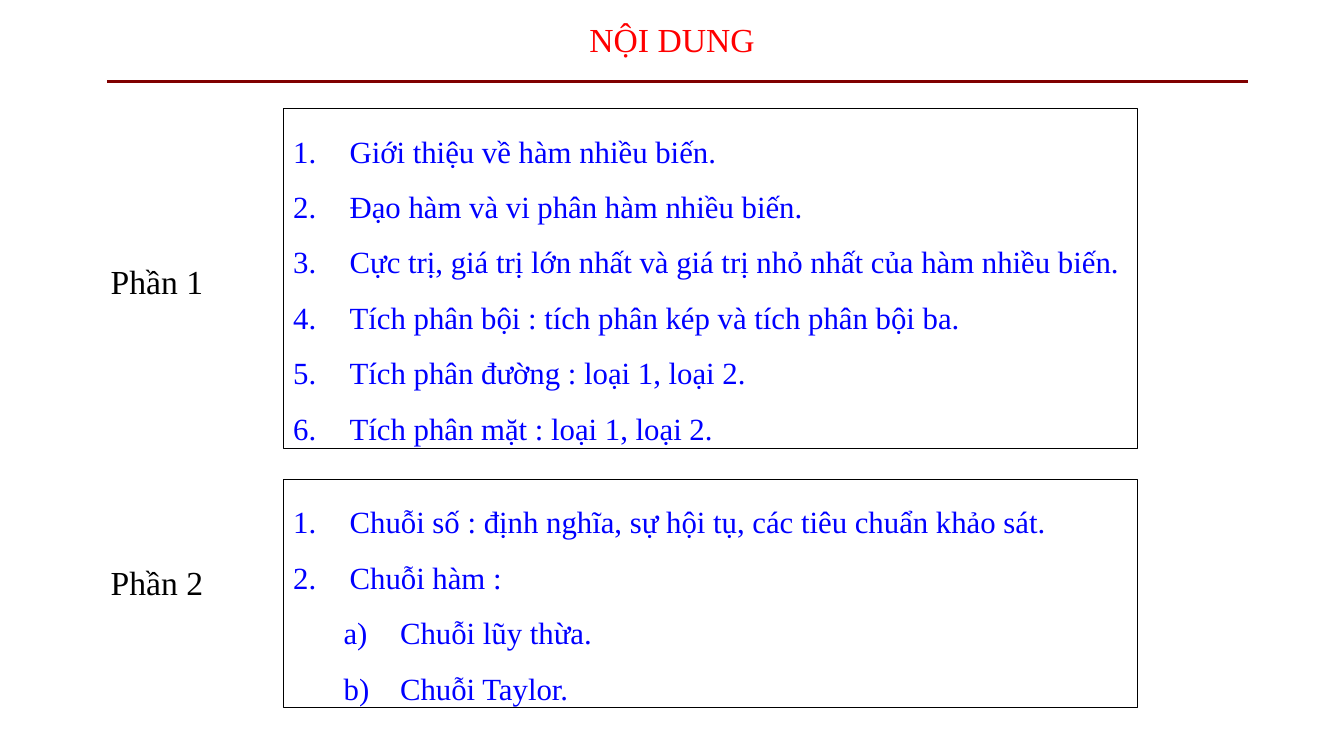
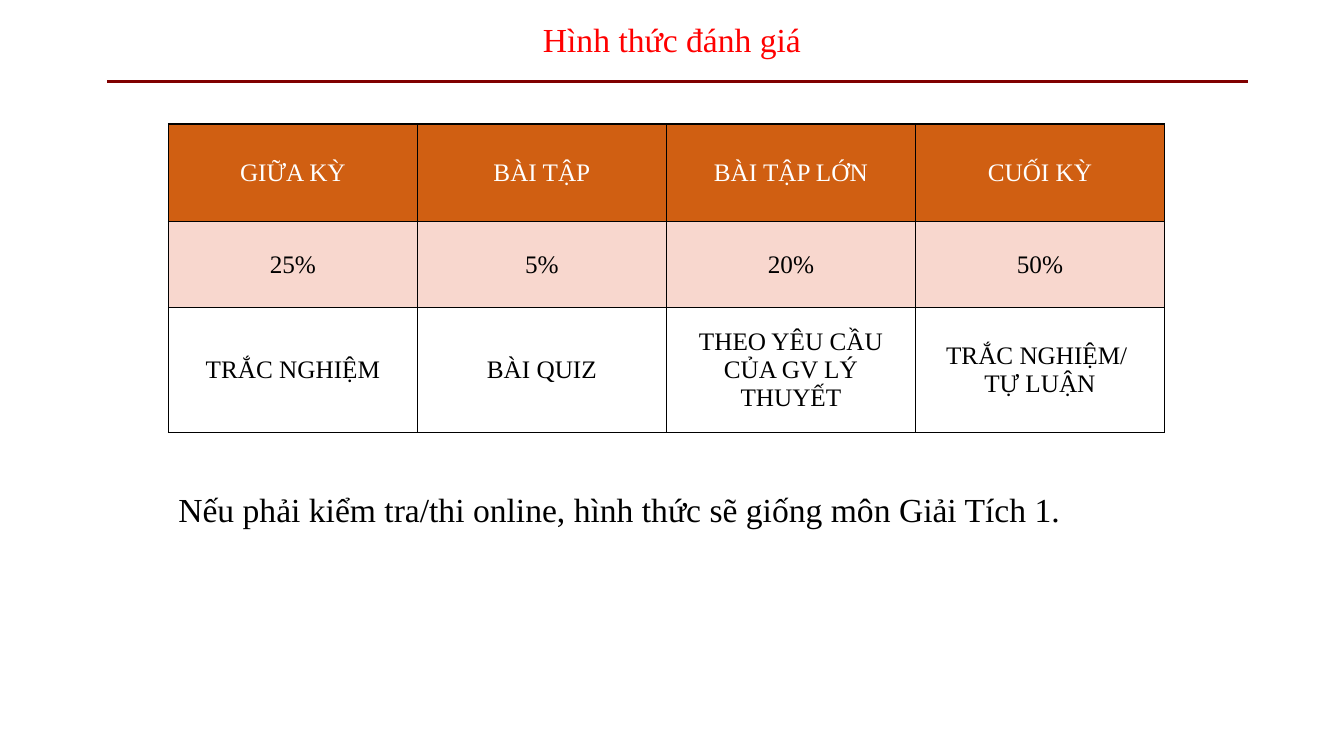
import dataclasses

import lxml.etree
import pptx
import pptx.dml.color
import pptx.enum.shapes
import pptx.enum.text
import pptx.oxml
import pptx.oxml.ns
import pptx.util

PX = 9144  # 100 px to the inch
FONT = "Times New Roman"
COLORS = {
    "title": "FF0000",
    "rule": "800000",
    "topic": "0000FF",
    "text": "000000",
    "header_text": "FFFFFF",
    "header": "D05F12",
    "weight": "F8D7CE",
}
ALIGN = pptx.enum.text.PP_ALIGN
ANCHOR = pptx.enum.text.MSO_ANCHOR
AUTO_SIZE = pptx.enum.text.MSO_AUTO_SIZE
qn = pptx.oxml.ns.qn


@dataclasses.dataclass(frozen=True)
class Topic:
    text: str
    level: int = 0


@dataclasses.dataclass(frozen=True)
class Part:
    label: str
    label_top: int
    top: int
    height: int
    topics: tuple[Topic, ...]


@dataclasses.dataclass(frozen=True)
class GradeRow:
    height: int
    texts: tuple[str, ...]
    fill: str | None = None
    color: str = "text"


PARTS = (
    Part("Phần 1", 234, 108, 337, (
        Topic("Giới thiệu về hàm nhiều biến."),
        Topic("Đạo hàm và vi phân hàm nhiều biến."),
        Topic("Cực trị, giá trị lớn nhất và giá trị nhỏ nhất của hàm nhiều biến."),
        Topic("Tích phân bội : tích phân kép và tích phân bội ba."),
        Topic("Tích phân đường : loại 1, loại 2."),
        Topic("Tích phân mặt : loại 1, loại 2."),
    )),
    Part("Phần 2", 533, 476, 226, (
        Topic("Chuỗi số : định nghĩa, sự hội tụ, các tiêu chuẩn khảo sát."),
        Topic("Chuỗi hàm :"),
        Topic("Chuỗi lũy thừa.", 1),
        Topic("Chuỗi Taylor.", 1),
    )),
)
GRADES = (
    GradeRow(97, ("GIỮA KỲ", "BÀI TẬP", "BÀI TẬP LỚN", "CUỐI KỲ"), "header", "header_text"),
    GradeRow(85, ("25%", "5%", "20%", "50%"), "weight"),
    GradeRow(124, ("TRẮC NGHIỆM", "BÀI QUIZ", "THEO YÊU CẦU CỦA GV LÝ THUYẾT",
                   "TRẮC NGHIỆM/ \vTỰ LUẬN")),
)


def px(length: int) -> pptx.util.Emu:
    return pptx.util.Emu(length * PX)


def rgb(name: str) -> pptx.dml.color.RGBColor:
    return pptx.dml.color.RGBColor.from_string(COLORS[name])


def style(paragraph, size: int, color: str, align=ALIGN.LEFT, spacing: float = 1.0) -> None:
    paragraph.alignment = align
    paragraph.line_spacing = spacing
    paragraph.font.name = FONT
    paragraph.font.size = pptx.util.Pt(size)
    paragraph.font.color.rgb = rgb(color)


def number(paragraph, level: int) -> None:
    paragraph.level = level
    properties = paragraph._p.get_or_add_pPr()
    properties.set("marL", str(px(56 + 50 * level)))
    properties.set("indent", str(px(-56)))
    numbering = lxml.etree.SubElement(properties, qn("a:buAutoNum"))
    numbering.set("type", ("arabicPeriod", "alphaLcParenR")[level])


def add_text(slide, left: int, top: int, width: int, height: int, text: str, wrap: bool = True):
    frame = slide.shapes.add_textbox(px(left), px(top), px(width), px(height)).text_frame
    frame.word_wrap = wrap
    frame.text = text
    return frame


def add_titled_slide(deck, title: str):
    slide = deck.slides.add_slide(deck.slide_layouts[6])
    # Rule under the title
    rule = slide.shapes.add_connector(
        pptx.enum.shapes.MSO_CONNECTOR.STRAIGHT, px(106), px(81), px(1238), px(81))
    rule.line.color.rgb = rgb("rule")
    rule.line.width = pptx.util.Pt(2.25)
    lxml.etree.SubElement(rule._element.spPr, qn("a:effectLst"))
    # Title
    frame = add_text(slide, 100, 5, 1133, 72, title)
    frame.vertical_anchor = ANCHOR.MIDDLE
    style(frame.paragraphs[0], 24, "title", ALIGN.CENTER, 0.9)
    return slide


def add_line(slide, left: int, top: int, width: int, text: str, wrap: bool) -> None:
    frame = add_text(slide, left, top, width, 63, text, wrap)
    frame.auto_size = AUTO_SIZE.SHAPE_TO_FIT_TEXT
    style(frame.paragraphs[0], 24, "text", spacing=1.5)


def add_part(slide, part: Part) -> None:
    box = slide.shapes.add_shape(
        pptx.enum.shapes.MSO_SHAPE.RECTANGLE, px(281), px(part.top), px(847), px(part.height))
    box.shadow.inherit = False
    box.fill.background()
    box.line.color.rgb = rgb("text")
    box.line.width = pptx.util.Pt(0.75)
    frame = box.text_frame
    frame.word_wrap = True
    frame.vertical_anchor = ANCHOR.TOP
    frame.auto_size = AUTO_SIZE.SHAPE_TO_FIT_TEXT
    for index, topic in enumerate(part.topics):
        paragraph = frame.add_paragraph() if index else frame.paragraphs[0]
        paragraph.text = topic.text
        paragraph.line_spacing = 1.5
        number(paragraph, topic.level)
        style(paragraph, 22, "topic", spacing=1.5)
    add_line(slide, 100, part.label_top, 113, part.label, wrap=False)


def add_borders(cell) -> None:
    properties = cell._tc.get_or_add_tcPr()
    for side in ("lnL", "lnR", "lnT", "lnB"):
        border = lxml.etree.SubElement(properties, qn(f"a:{side}"), w=str(pptx.util.Pt(1)))
        fill = lxml.etree.SubElement(border, qn("a:solidFill"))
        lxml.etree.SubElement(fill, qn("a:srgbClr"), val=COLORS["text"])


def add_grades(slide, rows: tuple[GradeRow, ...]) -> None:
    columns = len(rows[0].texts)
    table = slide.shapes.add_table(
        len(rows), columns, px(167), px(123), px(247 * columns),
        px(sum(row.height for row in rows))).table
    table.first_row = False
    table.horz_banding = False
    for row_index, row in enumerate(rows):
        table.rows[row_index].height = px(row.height)
        for column, text in enumerate(row.texts):
            cell = table.cell(row_index, column)
            cell.text_frame.text = text
            cell.vertical_anchor = ANCHOR.MIDDLE
            add_borders(cell)
            if row.fill:
                cell.fill.solid()
                cell.fill.fore_color.rgb = rgb(row.fill)
            else:
                cell.fill.background()
            style(cell.text_frame.paragraphs[0], 18, row.color, ALIGN.CENTER)


def main() -> None:
    deck = pptx.Presentation()
    deck.slide_width, deck.slide_height = px(1333), px(750)

    # Contents
    contents = add_titled_slide(deck, "NỘI DUNG")
    for part in PARTS:
        add_part(contents, part)

    # Assessment
    assessment = add_titled_slide(deck, "Hình thức đánh giá")
    add_grades(assessment, GRADES)
    add_line(assessment, 167, 460, 987,
             "Nếu phải kiểm tra/thi online, hình thức sẽ giống môn Giải Tích 1.", wrap=True)

    deck.save("out.pptx")


if __name__ == "__main__":
    main()
